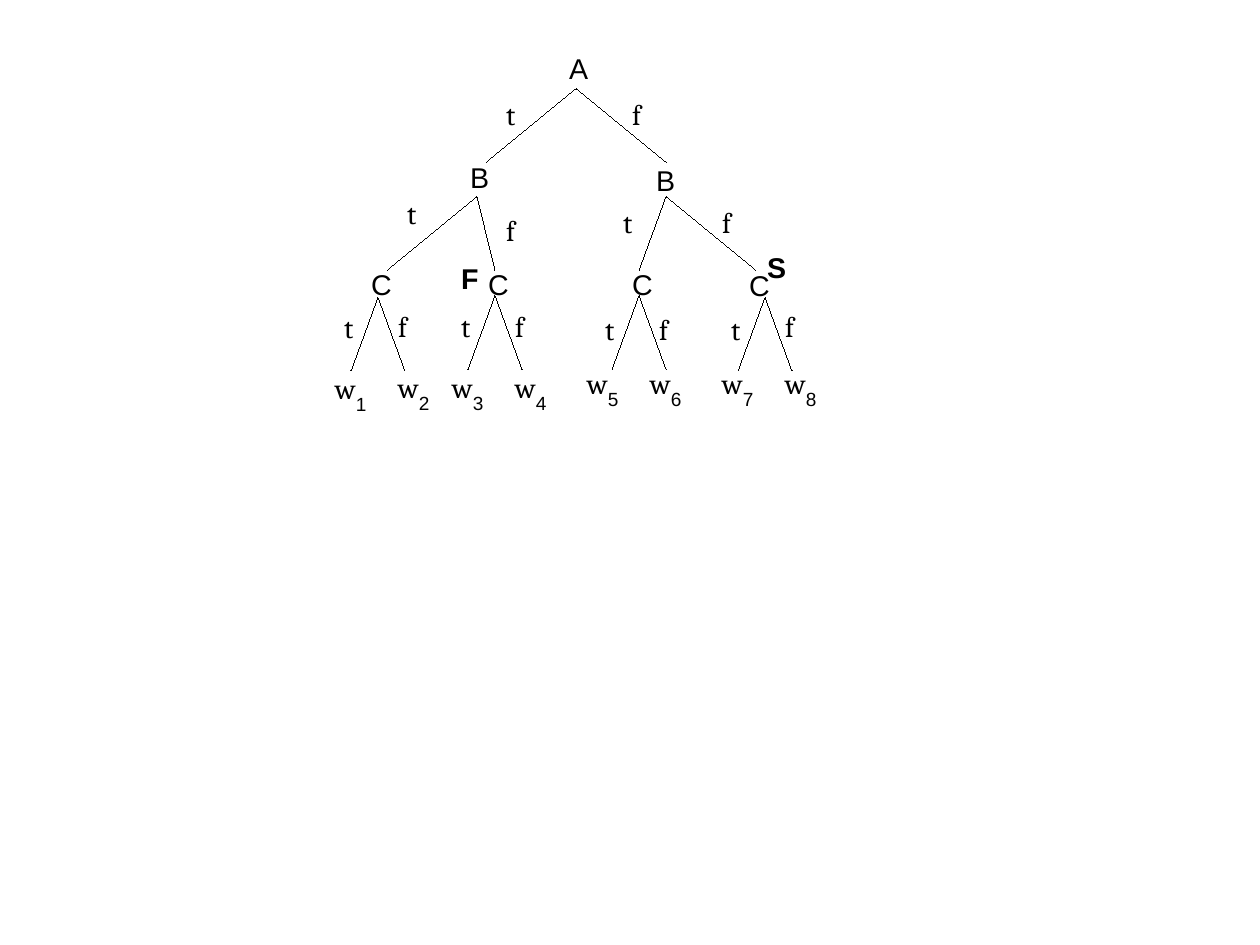
from dataclasses import dataclass
from typing import NamedTuple

from lxml.etree import SubElement
from pptx import Presentation
from pptx.dml.color import RGBColor
from pptx.enum.shapes import MSO_CONNECTOR as Connector
from pptx.enum.text import MSO_AUTO_SIZE as AutoSize
from pptx.oxml.ns import qn
from pptx.slide import Slide
from pptx.util import Mm, Pt

BLACK = RGBColor(0x00, 0x00, 0x00)
LETTER_FONT = "Arial"
BRANCH_FONT = "Cambria"
SLIDE_WIDTH = Mm(280)
SLIDE_HEIGHT = Mm(210)
COLUMN = SLIDE_WIDTH / 140
ROW = SLIDE_HEIGHT / 105
INDEX_SHIFT = (2.3, 2.4)


class Cell(NamedTuple):
    column: float
    row: float

    def place(self) -> tuple[int, int]:
        return round(self.column * COLUMN), round(self.row * ROW)


@dataclass(frozen=True)
class Fork:
    letter: str
    letter_cell: Cell
    apex: Cell
    left_foot: Cell
    right_foot: Cell
    true_cell: Cell
    false_cell: Cell


@dataclass(frozen=True)
class Mark:
    text: str
    cell: Cell


def bottom_fork(letter_cell: Cell, apex: Cell, true_row: float, false_row: float) -> Fork:
    foot_row = apex.row + 8.2
    return Fork("C", letter_cell, apex,
                Cell(apex.column - 3, foot_row), Cell(apex.column + 3, foot_row),
                Cell(apex.column - 5, true_row), Cell(apex.column + 1, false_row))


FORKS = [
    Fork("A", Cell(62, 5), Cell(64, 9.8), Cell(54, 18), Cell(74, 18),
         Cell(55, 10.15), Cell(69, 10.15)),
    Fork("B", Cell(51, 17.1), Cell(53, 21.8), Cell(43, 30), Cell(55, 30),
         Cell(44, 21.2), Cell(55, 23)),
    Fork("B", Cell(71.65, 17.5), Cell(74, 21.8), Cell(71, 30), Cell(84, 30),
         Cell(68, 22.2), Cell(79, 22.2)),
    bottom_fork(Cell(40, 29), Cell(42, 33), 33.8, 33.65),
    bottom_fork(Cell(53, 29), Cell(55, 32.8), 33.65, 33.65),
    bottom_fork(Cell(69, 29), Cell(71, 32.8), 34, 34),
    bottom_fork(Cell(82, 29.2), Cell(85, 33), 34, 33.65),
]
MARKS = [Mark("F", Cell(50, 28.4)), Mark("S", Cell(84, 27.2))]
WORLDS = [Cell(36, 40.6), Cell(43, 40.5), Cell(49, 40.5), Cell(56, 40.5),
          Cell(64, 40), Cell(71, 40), Cell(79, 40), Cell(86, 40)]


def add_text(page: Slide, text: str, cell: Cell, *, font: str = LETTER_FONT,
             size: float = 18, bold: bool = False, wrap: bool = True,
             columns: float = 5, rows: float = 4.8) -> None:
    box = page.shapes.add_textbox(*cell.place(), round(columns * COLUMN), round(rows * ROW))
    frame = box.text_frame
    frame.word_wrap = wrap
    frame.auto_size = AutoSize.SHAPE_TO_FIT_TEXT
    span = frame.paragraphs[0].add_run()
    span.text = text
    span.font.name = font
    span.font.size = Pt(size)
    span.font.bold = bold
    span.font.color.rgb = BLACK


def add_branch_text(page: Slide, text: str, cell: Cell) -> None:
    add_text(page, text, cell, font=BRANCH_FONT, columns=4, rows=5.3)


def add_line(page: Slide, start: Cell, end: Cell) -> None:
    line = page.shapes.add_connector(Connector.STRAIGHT, *start.place(), *end.place())
    line.line.color.rgb = BLACK
    properties = line._element.spPr
    properties.find(qn("a:ln")).set("w", "0")
    SubElement(properties, qn("a:effectLst"))


def add_fork(page: Slide, fork: Fork) -> None:
    add_text(page, fork.letter, fork.letter_cell)
    add_line(page, fork.apex, fork.left_foot)
    add_line(page, fork.right_foot, fork.apex)
    add_branch_text(page, "t", fork.true_cell)
    add_branch_text(page, "f", fork.false_cell)


def add_world(page: Slide, number: int, cell: Cell) -> None:
    add_branch_text(page, "w", cell)
    index_cell = Cell(cell.column + INDEX_SHIFT[0], cell.row + INDEX_SHIFT[1])
    add_text(page, str(number), index_cell, size=12, wrap=False, columns=3.7, rows=3.7)


def main() -> None:
    deck = Presentation()
    deck.slide_width = SLIDE_WIDTH
    deck.slide_height = SLIDE_HEIGHT
    page = deck.slides.add_slide(deck.slide_layouts[6])
    for fork in FORKS:
        add_fork(page, fork)
    for number, cell in enumerate(WORLDS, start=1):
        add_world(page, number, cell)
    for mark in MARKS:
        add_text(page, mark.text, mark.cell, bold=True)
    deck.save("out.pptx")


if __name__ == "__main__":
    main()
